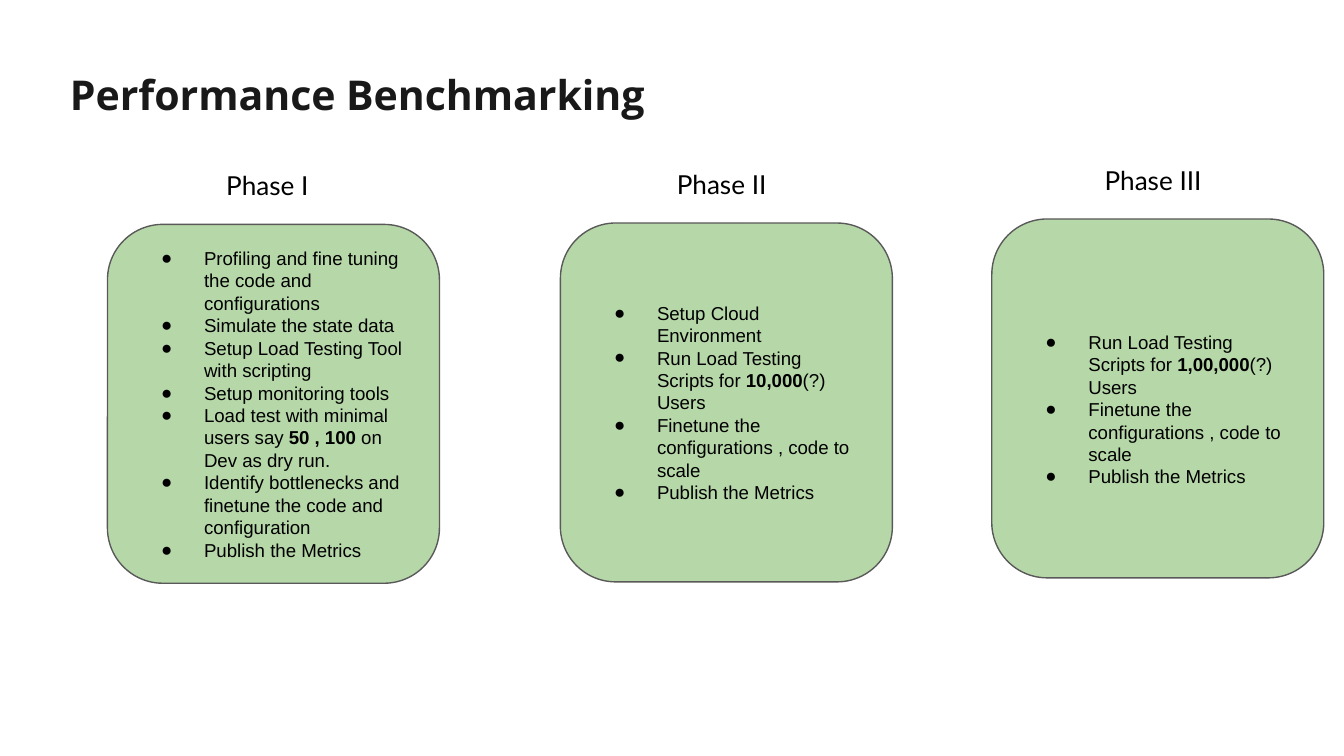
from dataclasses import dataclass

from lxml.etree import SubElement
from pptx import Presentation
from pptx.dml.color import RGBColor
from pptx.enum.shapes import MSO_SHAPE
from pptx.enum.text import MSO_ANCHOR, MSO_AUTO_SIZE, PP_ALIGN
from pptx.oxml.ns import qn
from pptx.util import Inches, Pt


@dataclass(frozen=True)
class Theme:
    title_color: RGBColor = RGBColor(0x19, 0x19, 0x19)
    text_color: RGBColor = RGBColor(0, 0, 0)
    card_fill: RGBColor = RGBColor(0xB6, 0xD7, 0xA8)
    card_line: RGBColor = RGBColor(0x59, 0x59, 0x59)
    title_size: int = 22
    label_size: int = 14
    body_size: int = 10


theme = Theme()


def write(para, text, *, font, size, color=theme.text_color, bold=False, align=PP_ALIGN.LEFT):
    """Fill a paragraph; parts between asterisks are bold."""
    para.alignment = align
    for index, part in enumerate(text.split("*")):
        span = para.add_run()
        span.text = part
        span.font.name = font
        span.font.size = Pt(size)
        span.font.color.rgb = color
        span.font.bold = bold or index % 2 == 1


def add_bullet(para, *, indent, hanging):
    properties = para._p.get_or_add_pPr()
    properties.set("marL", str(Inches(indent)))
    properties.set("indent", str(-Inches(hanging)))
    bullet_color = SubElement(properties, qn("a:buClr"))
    SubElement(bullet_color, qn("a:srgbClr")).set("val", str(theme.text_color))
    SubElement(properties, qn("a:buFont")).set("typeface", "Arial")
    SubElement(properties, qn("a:buChar")).set("char", "●")


deck = Presentation()
deck.slide_width = Inches(10)
deck.slide_height = Inches(10 * 9 / 16)
page = deck.slides.add_slide(deck.slide_layouts[5])

title = page.shapes.title
title.left, title.top, title.width, title.height = map(Inches, (0.42, 0.42, 9.32, 0.63))
title_frame = title.text_frame
title_frame.auto_size = MSO_AUTO_SIZE.NONE
title_frame.vertical_anchor = MSO_ANCHOR.TOP
title_frame.margin_left = title_frame.margin_right = Inches(0.1)
title_frame.margin_top = title_frame.margin_bottom = Inches(0.1)
write(title_frame.paragraphs[0], "Performance Benchmarking", font="Open Sans",
      size=theme.title_size, color=theme.title_color, bold=True)

# Each phase: name, card left, card top, label left, top inset of the card text, steps
phases = [
    ("Phase I", 0.8, 1.67, 0.97, 0.1, [
        "Profiling and fine tuning the code and configurations",
        "Simulate the state data",
        "Setup Load Testing Tool with scripting",
        "Setup monitoring tools",
        "Load test with minimal users say *50 , 100* on Dev as dry run.",
        "Identify bottlenecks and finetune the code and configuration",
        "Publish the Metrics",
    ]),
    ("Phase II", 4.17, 1.66, 4.35, 0.1, [
        "Setup Cloud Environment",
        "Run Load Testing Scripts for *10,000*(?) Users",
        "Finetune the configurations , code to scale",
        "Publish the Metrics",
    ]),
    ("Phase III", 7.38, 1.63, 7.56, 0.26, [
        "Run Load Testing Scripts for *1,00,000*(?) Users",
        "Finetune the configurations , code to scale",
        "Publish the Metrics",
    ]),
]

for name, left, top, label_left, top_inset, steps in phases:
    card = page.shapes.add_shape(MSO_SHAPE.ROUNDED_RECTANGLE, Inches(left), Inches(top),
                                 Inches(2.47), Inches(2.67))
    card.shadow.inherit = False
    card.fill.solid()
    card.fill.fore_color.rgb = theme.card_fill
    card.line.color.rgb = theme.card_line
    card.line.width = Pt(0.75)

    card_frame = card.text_frame
    card_frame.word_wrap = True
    card_frame.vertical_anchor = MSO_ANCHOR.MIDDLE
    card_frame.margin_left = card_frame.margin_right = card_frame.margin_bottom = Inches(0.1)
    card_frame.margin_top = Inches(top_inset)
    for index, step in enumerate(steps):
        para = card_frame.add_paragraph() if index else card_frame.paragraphs[0]
        write(para, step, font="Arial", size=theme.body_size)
        add_bullet(para, indent=0.5, hanging=0.32)

    label = page.shapes.add_textbox(Inches(label_left), Inches(top - 0.51),
                                    Inches(2.04), Inches(0.44))
    label_frame = label.text_frame
    label_frame.word_wrap = True
    label_frame.auto_size = MSO_AUTO_SIZE.SHAPE_TO_FIT_TEXT
    label_frame.margin_left = label_frame.margin_right = Inches(0.1)
    label_frame.margin_top = label_frame.margin_bottom = Inches(0.1)
    write(label_frame.paragraphs[0], name, font="Lato", size=theme.label_size,
          align=PP_ALIGN.CENTER)

deck.save("out.pptx")
